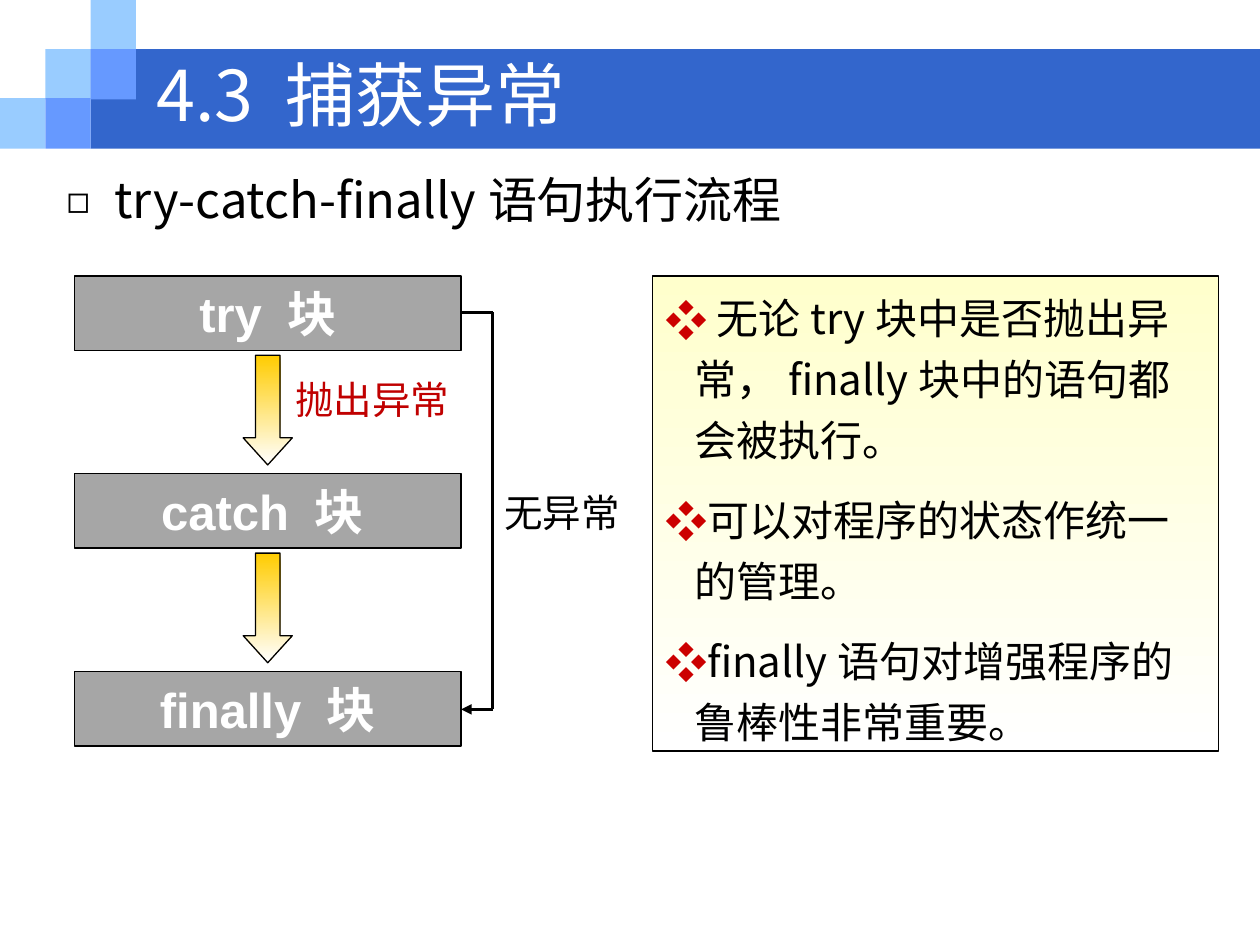
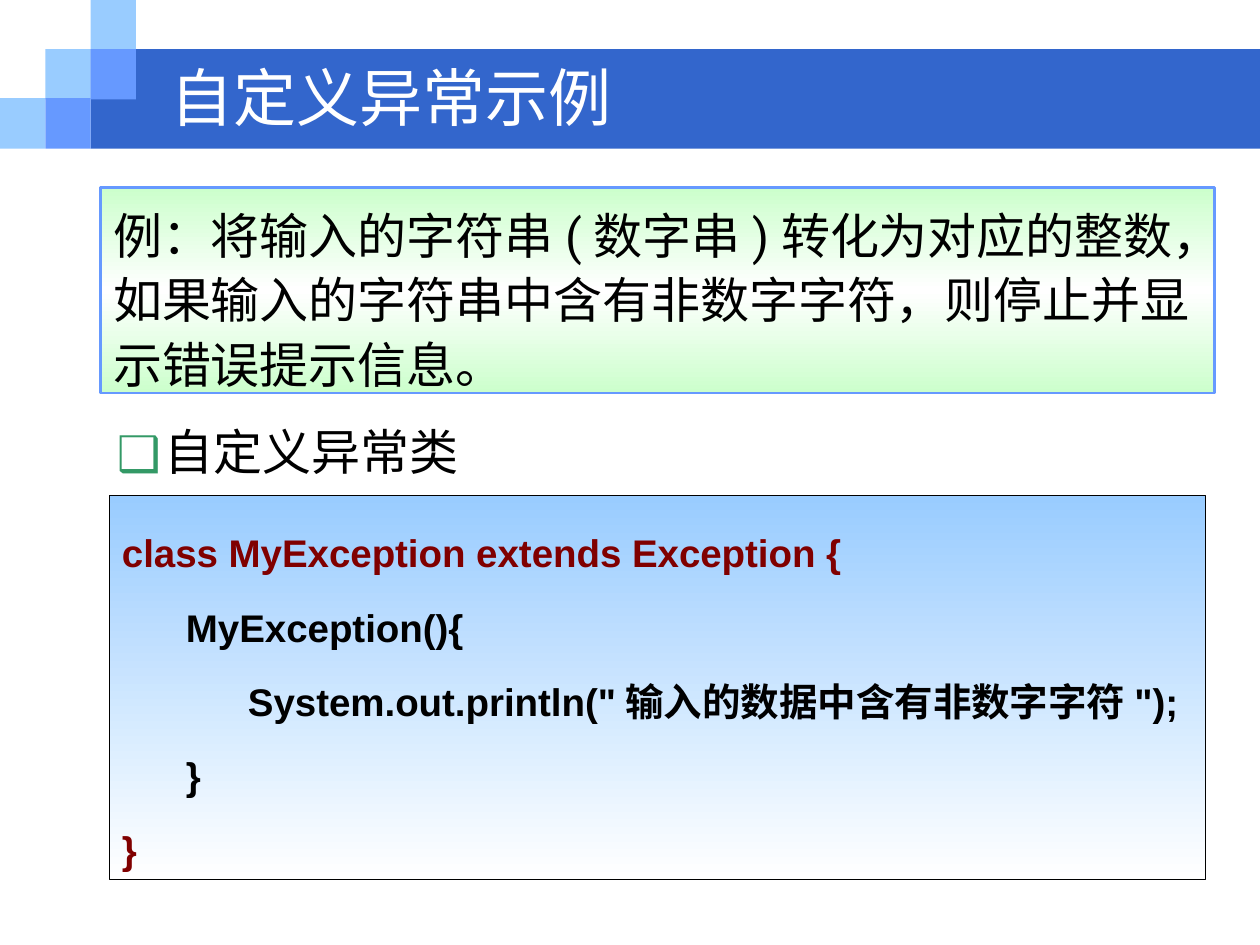
from copy import deepcopy
from dataclasses import dataclass
from itertools import pairwise
from typing import Optional

from lxml.etree import SubElement
from pptx import Presentation
from pptx.dml.color import RGBColor
from pptx.enum.shapes import MSO_CONNECTOR, MSO_SHAPE
from pptx.enum.text import MSO_ANCHOR, MSO_AUTO_SIZE, PP_ALIGN
from pptx.oxml.ns import qn
from pptx.util import Inches, Pt

BLACK = RGBColor(0x00, 0x00, 0x00)
WHITE = RGBColor(0xFF, 0xFF, 0xFF)
BAND_BLUE = RGBColor(0x33, 0x66, 0xCC)
SKY = RGBColor(0x99, 0xCC, 0xFF)
CORNFLOWER = RGBColor(0x66, 0x99, 0xFF)
GREY = RGBColor(0xA6, 0xA6, 0xA6)
CREAM = RGBColor(0xFF, 0xFF, 0xCC)
GOLD = RGBColor(0xFF, 0xCC, 0x00)
MINT = RGBColor(0xCC, 0xFF, 0xCC)
GREEN = RGBColor(0x33, 0x99, 0x66)
BULLET_RED = RGBColor(0xCC, 0x00, 0x00)
THROW_RED = RGBColor(0xC0, 0x00, 0x00)
MAROON = RGBColor(0x80, 0x00, 0x00)

CJK = "Noto Sans CJK SC"
LATIN = "Arial"
ROBOTO = "Roboto"


@dataclass(frozen=True)
class Box:
    left: float
    top: float
    width: float
    height: float

    def lengths(self) -> tuple:
        return tuple(Inches(v) for v in (self.left, self.top, self.width, self.height))


@dataclass(frozen=True)
class Bullet:
    char: str
    indent: float
    color: RGBColor = BLACK
    percent: int = 100


@dataclass(frozen=True)
class Tile:
    column: int
    row: int
    color: RGBColor


@dataclass(frozen=True)
class Label:
    text: str
    box: Box
    color: RGBColor


TILE_WIDTH, TILE_HEIGHT = 0.36, 0.4
BAND = Box(0.72, 0.39, 9.28, 0.79)
TILES = (
    Tile(0, 2, SKY),
    Tile(1, 1, SKY),
    Tile(2, 0, SKY),
    Tile(2, 1, CORNFLOWER),
    Tile(1, 2, CORNFLOWER),
)

BLOCKS = ("try 块", "catch 块 ", "finally 块")
BLOCK = Box(0.59, 2.19, 3.07, 0.59)
BLOCK_STEP = 1.57
ARROW = Box(1.93, 2.82, 0.39, 0.87)
BYPASS = ((3.66, 2.48), (3.91, 2.48), (3.91, 5.63), (3.66, 5.63))
LABELS = (
    Label("无异常", Box(3.82, 3.83, 1.28, 0.47), BLACK),
    Label("抛出异常", Box(2.17, 2.93, 1.57, 0.47), THROW_RED),
)
FINALLY_NOTES = """ 无论try块中是否抛出异常，finally块中的语句都会被执行。
可以对程序的状态作统一的管理。
finally语句对增强程序的鲁棒性非常重要。"""

EXAMPLE = (
    "例：将输入的字符串(数字串)转化为对应的整数，"
    "如果输入的字符串中含有非数字字符，则停止并显示错误提示信息。"
)
CODE = """class MyException extends Exception {
      MyException(){
\tSystem.out.println("输入的数据中含有非数字字符");
      }
}"""


def add_bullet(paragraph, bullet: Bullet) -> None:
    props = paragraph._p.get_or_add_pPr()
    props.set("marL", str(Inches(bullet.indent)))
    props.set("indent", str(-Inches(bullet.indent)))
    SubElement(SubElement(props, qn("a:buClr")), qn("a:srgbClr")).set("val", str(bullet.color))
    SubElement(props, qn("a:buSzPct")).set("val", str(bullet.percent * 1000))
    SubElement(props, qn("a:buFont")).set("typeface", CJK)
    SubElement(props, qn("a:buChar")).set("char", bullet.char)


def add_tab(paragraph, position: float) -> None:
    tabs = SubElement(paragraph._p.get_or_add_pPr(), qn("a:tabLst"))
    tab = SubElement(tabs, qn("a:tab"))
    tab.set("pos", str(Inches(position)))
    tab.set("algn", "l")


def write(
    frame,
    text: str,
    *,
    size: float,
    font: str = CJK,
    color: RGBColor = BLACK,
    accents: Optional[dict] = None,
    bold: bool = False,
    align: PP_ALIGN = PP_ALIGN.LEFT,
    anchor: MSO_ANCHOR = MSO_ANCHOR.TOP,
    line_points: Optional[float] = None,
    before: float = 0,
    bullet: Optional[Bullet] = None,
    tab: Optional[float] = None,
    wrap: bool = True,
    top_inset: float = 0.05,
) -> None:
    frame.word_wrap = wrap
    frame.auto_size = MSO_AUTO_SIZE.NONE
    frame.vertical_anchor = anchor
    frame.margin_left = frame.margin_right = Inches(0.1)
    frame.margin_top, frame.margin_bottom = Inches(top_inset), Inches(0.05)
    for index, line in enumerate(text.split("\n")):
        paragraph = frame.add_paragraph() if index else frame.paragraphs[0]
        if bullet:
            add_bullet(paragraph, bullet)
        if tab:
            add_tab(paragraph, tab)
        paragraph.alignment = align
        paragraph.space_before = Pt(before if index else 0)
        if line_points:
            paragraph.line_spacing = Pt(line_points)
        run = paragraph.add_run()
        run.text = line
        run.font.size = Pt(size)
        run.font.bold = bold
        run.font.color.rgb = (accents or {}).get(index, color)
        run.font.name = font
        SubElement(run._r.get_or_add_rPr(), qn("a:ea")).set("typeface", CJK)


def fill_gradient(shape, colors: tuple) -> None:
    shape.fill.gradient()
    shape.fill.gradient_angle = 270
    stops = shape._element.spPr.find(qn("a:gradFill")).find(qn("a:gsLst"))
    while len(stops) < len(colors):
        stops.append(deepcopy(stops[0]))
    for index, (stop, color) in enumerate(zip(shape.fill.gradient_stops, colors)):
        stop.position = index / (len(colors) - 1)
        stop.color.rgb = color


def add_panel(
    slide,
    box: Box,
    *colors: RGBColor,
    kind: MSO_SHAPE = MSO_SHAPE.RECTANGLE,
    line: Optional[RGBColor] = BLACK,
    weight: float = 0.75,
):
    panel = slide.shapes.add_shape(kind, *box.lengths())
    panel.shadow.inherit = False
    if len(colors) > 1:
        fill_gradient(panel, colors)
    else:
        panel.fill.solid()
        panel.fill.fore_color.rgb = colors[0]
    if line is None:
        panel.line.fill.background()
    else:
        panel.line.color.rgb = line
        panel.line.width = Pt(weight)
    return panel


def add_text(slide, box: Box, text: str, **style) -> None:
    write(slide.shapes.add_textbox(*box.lengths()).text_frame, text, **style)


def add_title(slide, box: Box, text: str, size: float) -> None:
    title = slide.shapes.title
    title.left, title.top, title.width, title.height = box.lengths()
    write(title.text_frame, text, size=size, color=WHITE, anchor=MSO_ANCHOR.MIDDLE)


def add_bypass(slide) -> None:
    for start, end in pairwise(BYPASS):
        segment = slide.shapes.add_connector(
            MSO_CONNECTOR.STRAIGHT, *(Inches(v) for v in start + end)
        )
        segment.line.color.rgb = BLACK
        segment.line.width = Pt(1.5)
        if end == BYPASS[-1]:
            SubElement(segment.line._get_or_add_ln(), qn("a:tailEnd")).set("type", "triangle")
        SubElement(segment._element.spPr, qn("a:effectLst"))


def decorate_layout(layout, slide) -> None:
    for placeholder in list(layout.placeholders):
        if placeholder.placeholder_format.idx:
            placeholder._element.getparent().remove(placeholder._element)
    decorations = [add_panel(slide, BAND, BAND_BLUE, line=None)]
    for tile in TILES:
        box = Box(
            tile.column * TILE_WIDTH, tile.row * (TILE_HEIGHT - 0.01), TILE_WIDTH, TILE_HEIGHT
        )
        decorations.append(add_panel(slide, box, tile.color, line=None))
    for decoration in decorations:
        layout.shapes._spTree.append(decoration._element)


def build_flow_slide(slide) -> None:
    add_title(slide, Box(1.14, 0.31, 7.4, 0.87), "4.3 捕获异常", 40)
    add_text(
        slide, Box(0.43, 1.29, 7.4, 0.57), "try-catch-finally语句执行流程",
        size=28, anchor=MSO_ANCHOR.MIDDLE, bullet=Bullet("◻", 0.38, percent=77),
    )
    notes = add_panel(slide, Box(5.18, 2.19, 4.49, 3.77), CREAM, WHITE)
    write(
        notes.text_frame, FINALLY_NOTES, size=24, line_points=34.8, before=11,
        bullet=Bullet("❖", 0.23, BULLET_RED),
    )
    for index, name in enumerate(BLOCKS):
        offset = index * BLOCK_STEP
        block = add_panel(
            slide, Box(BLOCK.left, BLOCK.top + offset, BLOCK.width, BLOCK.height), GREY
        )
        write(
            block.text_frame, name, size=28, font=LATIN, color=WHITE, bold=True,
            align=PP_ALIGN.CENTER, anchor=MSO_ANCHOR.MIDDLE, wrap=False,
        )
        if index < len(BLOCKS) - 1:
            arrow = add_panel(
                slide, Box(ARROW.left, ARROW.top + offset, ARROW.width, ARROW.height),
                GOLD, WHITE, kind=MSO_SHAPE.DOWN_ARROW,
            )
            arrow.adjustments[1] = 0.55
    add_bypass(slide)
    for label in LABELS:
        add_text(
            slide, label.box, label.text, size=22, font=LATIN, color=label.color,
            align=PP_ALIGN.CENTER, anchor=MSO_ANCHOR.MIDDLE,
        )


def build_custom_exception_slide(slide) -> None:
    add_title(slide, Box(1.25, 0.5, 8.08, 0.53), "自定义异常示例", 36)
    code = add_panel(slide, Box(0.87, 3.93, 8.7, 3.05), SKY, WHITE)
    write(
        code.text_frame, CODE, size=22, font=LATIN, bold=True,
        accents={0: MAROON, 4: MAROON}, line_points=42.4, tab=1,
    )
    example = add_panel(
        slide, Box(0.8, 1.49, 8.84, 1.63), MINT, WHITE, MINT, line=CORNFLOWER, weight=1.5
    )
    write(
        example.text_frame, EXAMPLE, size=28, font=ROBOTO,
        anchor=MSO_ANCHOR.MIDDLE, line_points=36.6, top_inset=0.15,
    )
    add_text(
        slide, Box(0.83, 3.26, 2.91, 0.57), "自定义异常类",
        size=28, line_points=36, bullet=Bullet("❑", 0.38, GREEN),
    )


def main() -> None:
    deck = Presentation()
    deck.slide_width, deck.slide_height = Inches(10), Inches(7.5)
    layout = deck.slide_layouts[5]
    flow = deck.slides.add_slide(layout)
    decorate_layout(layout, flow)
    build_flow_slide(flow)
    build_custom_exception_slide(deck.slides.add_slide(layout))
    deck.save("out.pptx")


if __name__ == "__main__":
    main()
